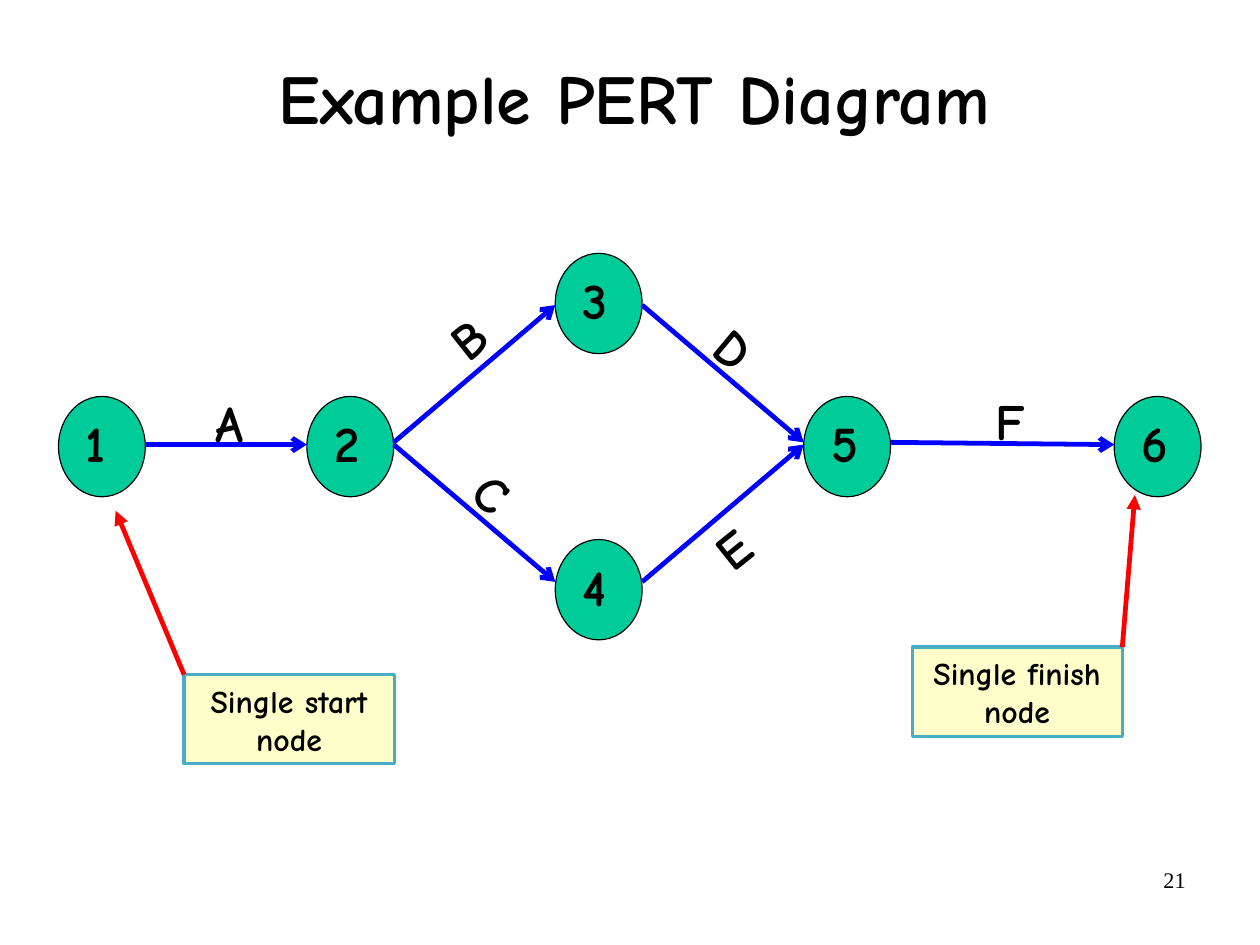
import dataclasses

import lxml.etree
import pptx
import pptx.dml.color
import pptx.enum.shapes
import pptx.enum.text
import pptx.oxml.ns
import pptx.util

Cm = pptx.util.Cm
Pt = pptx.util.Pt
SHAPES = pptx.enum.shapes.MSO_SHAPE
ALIGN = pptx.enum.text.PP_ALIGN


@dataclasses.dataclass(frozen=True)
class Theme:
    font: str = "Comic Neue"
    number_font: str = "Times New Roman"
    title_size: int = 44
    label_size: int = 32
    note_size: int = 20
    number_size: int = 14
    ink: str = "000000"
    node: str = "00CC99"
    activity: str = "0000FF"
    pointer: str = "FF0000"
    note: str = "FFFFCC"
    note_edge: str = "4BACC6"


THEME = Theme()

# Node grid, in centimetres
NODE_WIDTH, NODE_HEIGHT = 1.93, 2.23
FIRST_LEFT, COLUMN_STEP = 1.3, 5.52
MIDDLE_TOP, ROW_STEP = 8.81, 3.18

# Node name: column, row
NODES = {"1": (0, 0), "2": (1, 0), "3": (2, -1), "4": (2, 1), "5": (3, 0), "6": (4.25, 0)}

# Start node, start height, end node, end height
ACTIVITIES = [
    ("1", 9.88, "2", 9.88),
    ("5", 9.83, "6", 9.88),
    ("2", 9.88, "4", 12.93),
    ("2", 9.83, "3", 6.78),
    ("3", 6.78, "5", 9.83),
    ("4", 12.93, "5", 9.88),
]

# Activity name, left, top, rotation
ACTIVITY_LABELS = [
    ("A", 4.52, 8.56, 0),
    ("F", 21.84, 8.51, 0),
    ("B", 9.78, 6.68, 321.6),
    ("C", 10.36, 10.13, 39.8),
    ("D", 15.7, 6.91, 39.8),
    ("E", 15.65, 11.35, 321.3),
]

# Wording, left, top, pointer start, pointer end
NOTES = [
    ("Single start\nnode", 4.09, 14.99, (4.09, 14.99), (2.57, 11.35)),
    ("Single finish\nnode", 20.27, 14.38, (24.94, 14.38), (25.22, 11)),
]


def rgb(code):
    return pptx.dml.color.RGBColor.from_string(code)


def node_corner(name):
    column, row = NODES[name]
    return FIRST_LEFT + column * COLUMN_STEP, MIDDLE_TOP + row * ROW_STEP


def write(frame, text, size, font=THEME.font, bold=True, align=ALIGN.LEFT, inset=(0.28, 0.15)):
    frame.text = text
    frame.auto_size = pptx.enum.text.MSO_AUTO_SIZE.NONE
    frame.vertical_anchor = pptx.enum.text.MSO_ANCHOR.TOP
    frame.margin_left = frame.margin_right = Cm(inset[0])
    frame.margin_top = frame.margin_bottom = Cm(inset[1])
    for para in frame.paragraphs:
        para.alignment = align
        for span in para.runs:
            span.font.name = font
            span.font.size = Pt(size)
            span.font.bold = bold
            span.font.color.rgb = rgb(THEME.ink)


def add_title(page, text):
    title = page.shapes.title
    title.left, title.top, title.width, title.height = Cm(2.16), Cm(-0.71), Cm(23.88), Cm(3.81)
    write(title.text_frame, text, THEME.title_size, align=ALIGN.CENTER, inset=(0, 0))
    title.text_frame.vertical_anchor = pptx.enum.text.MSO_ANCHOR.BOTTOM
    title.text_frame.paragraphs[0].line_spacing = 0.92


def add_label(page, text, left, top, width=1.24, rotation=0, wrap=False):
    box = page.shapes.add_textbox(Cm(left), Cm(top), Cm(width), Cm(1.63))
    box.rotation = rotation
    write(box.text_frame, text, THEME.label_size)
    box.text_frame.word_wrap = wrap


def add_panel(page, kind, left, top, width, height, fill, edge, edge_width):
    panel = page.shapes.add_shape(kind, Cm(left), Cm(top), Cm(width), Cm(height))
    panel.shadow.inherit = False
    panel.fill.solid()
    panel.fill.fore_color.rgb = rgb(fill)
    panel.line.color.rgb = rgb(edge)
    panel.line.width = Pt(edge_width)
    return panel


def add_node(page, name):
    left, top = node_corner(name)
    add_panel(page, SHAPES.OVAL, left, top, NODE_WIDTH, NODE_HEIGHT, THEME.node, THEME.ink, 0.75)
    add_label(page, name, left + 0.33, top + 0.2, width=1.09, wrap=True)


def add_arrow(page, start, end, color, head):
    arrow = page.shapes.add_connector(
        pptx.enum.shapes.MSO_CONNECTOR.STRAIGHT, *(Cm(value) for value in (*start, *end)))
    arrow.line.color.rgb = rgb(color)
    arrow.line.width = Pt(3)
    qn = pptx.oxml.ns.qn
    lxml.etree.SubElement(arrow.line._get_or_add_ln(), qn("a:tailEnd"), type=head)
    lxml.etree.SubElement(arrow._element.spPr, qn("a:effectLst"))


def add_activity(page, source, start_height, target, end_height):
    start = (node_corner(source)[0] + NODE_WIDTH, start_height)
    end = (node_corner(target)[0], end_height)
    add_arrow(page, start, end, THEME.activity, "arrow")


def add_note(page, text, left, top, start, end):
    note = add_panel(page, SHAPES.RECTANGLE, left, top, 4.67, 1.98,
                     THEME.note, THEME.note_edge, 2)
    write(note.text_frame, text, THEME.note_size, align=ALIGN.CENTER)
    add_arrow(page, start, end, THEME.pointer, "triangle")


def add_page_number(page, number):
    box = page.shapes.add_textbox(Cm(20.07), Cm(19.13), Cm(6.53), Cm(1.45))
    write(box.text_frame, number, THEME.number_size, THEME.number_font,
          bold=False, align=ALIGN.RIGHT, inset=(0.25, 0.13))
    box.text_frame.word_wrap = True


def main():
    deck = pptx.Presentation()
    deck.slide_width, deck.slide_height = Cm(28), Cm(21)
    page = deck.slides.add_slide(deck.slide_layouts.get_by_name("Title Only"))

    add_page_number(page, "21")
    add_title(page, "Example PERT Diagram")

    # Network of nodes and activities
    for name in NODES:
        add_node(page, name)
    for activity in ACTIVITIES:
        add_activity(page, *activity)
    for text, left, top, rotation in ACTIVITY_LABELS:
        add_label(page, text, left, top, rotation=rotation)

    # Notes that point at the start and finish
    for note in NOTES:
        add_note(page, *note)

    deck.save("out.pptx")


if __name__ == "__main__":
    main()
